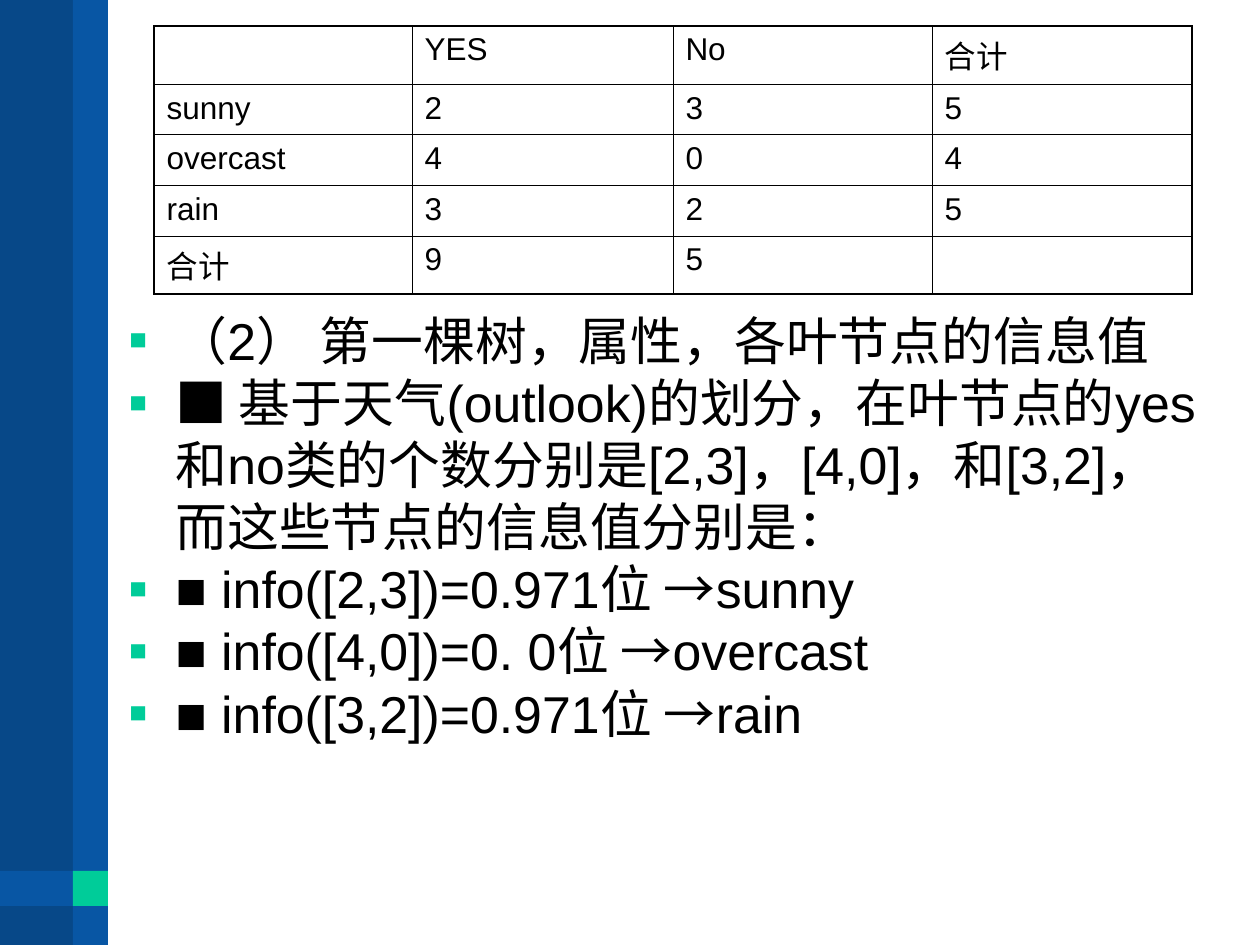
from lxml import etree
from pptx import Presentation
from pptx import util as u
from pptx.dml.color import RGBColor
from pptx.enum import shapes, text
from pptx.oxml import ns

SCALE = 914400 / 126


def px(length):
    return u.Emu(round(length * SCALE))


def colour(value):
    return RGBColor.from_string(value)


def add_element(parent, tag, **attributes):
    return etree.SubElement(parent, ns.qn(tag), attributes)


class SlideBuilder:
    font = "Arial"
    ink = "000000"
    accent = "00CC99"
    thin = 0.45
    thick = 1.08

    def __init__(self, slide):
        self.slide = slide

    def bar(self, left, top, width, height, fill):
        shape = self.slide.shapes.add_shape(
            shapes.MSO_SHAPE.RECTANGLE, px(left), px(top), px(width), px(height))
        shape.shadow.inherit = False
        shape.fill.solid()
        shape.fill.fore_color.rgb = colour(fill)
        shape.line.fill.background()

    def run(self, paragraph, words, size):
        run = paragraph.add_run()
        run.text = words
        run.font.name = self.font
        run.font.size = u.Pt(size)
        run.font.color.rgb = colour(self.ink)

    def bullet(self, paragraph):
        properties = paragraph._p.get_or_add_pPr()
        properties.set("marL", str(px(47)))
        properties.set("indent", str(px(-47)))
        bullet_colour = add_element(properties, "a:buClr")
        add_element(bullet_colour, "a:srgbClr", val=self.accent)
        add_element(properties, "a:buSzPct", val="110000")
        add_element(properties, "a:buFont", typeface=self.font)
        add_element(properties, "a:buChar", char="▪")

    def body(self, left, top, width, height, lines, size):
        shape = self.slide.placeholders[1]
        shape.left, shape.top = px(left), px(top)
        shape.width, shape.height = px(width), px(height)
        frame = shape.text_frame
        frame.word_wrap = True
        frame.auto_size = text.MSO_AUTO_SIZE.NONE
        frame.vertical_anchor = text.MSO_ANCHOR.TOP
        for index, line in enumerate(lines):
            paragraph = frame.add_paragraph() if index else frame.paragraphs[0]
            self.bullet(paragraph)
            paragraph.space_before = u.Pt(0)
            self.run(paragraph, line, size)

    def borders(self, cell, outer_sides):
        properties = cell._tc.get_or_add_tcPr()
        for side, outer in outer_sides.items():
            width = u.Pt(self.thick if outer else self.thin)
            line = add_element(properties, f"a:ln{side}", w=str(width))
            fill = add_element(line, "a:solidFill")
            add_element(fill, "a:srgbClr", val=self.ink)

    def table(self, left, top, widths, height, rows, size):
        table = self.slide.shapes.add_table(
            len(rows), len(widths), px(left), px(top), px(sum(widths)), px(height)).table
        table.first_row = False
        table.horz_banding = False
        for column, width in zip(table.columns, widths):
            column.width = px(width)
        last_row, last_column = len(rows) - 1, len(widths) - 1
        for r, row in enumerate(rows):
            for c, words in enumerate(row):
                cell = table.cell(r, c)
                self.borders(cell, {"L": c == 0, "R": c == last_column,
                                    "T": r == 0, "B": r == last_row})
                cell.fill.background()
                if words:
                    self.run(cell.text_frame.paragraphs[0], words, size)


def main():
    presentation = Presentation()
    presentation.slide_width = px(1260)
    presentation.slide_height = px(945)
    slide = presentation.slides.add_slide(presentation.slide_layouts[1])
    title = slide.shapes.title._element
    title.getparent().remove(title)

    builder = SlideBuilder(slide)
    builder.bar(0, 0, 105, 945, "074888")
    builder.bar(73, 0, 35, 945, "0856A4")
    builder.bar(0, 871, 105, 35, "0856A4")
    builder.bar(73, 871, 35, 35, builder.accent)

    builder.body(116, 302, 1103, 528, [
        "（2） 第一棵树，属性，各叶节点的信息值",
        "■ 基于天气(outlook)的划分，在叶节点的yes和no类的个数分别是"
        "[2,3]，[4,0]，和[3,2]，而这些节点的信息值分别是：",
        "■ info([2,3])=0.971位 →sunny",
        "■ info([4,0])=0. 0位 →overcast",
        "■ info([3,2])=0.971位 →rain",
    ], 29.6)

    builder.table(154, 26, [258, 261, 259, 260], 253, [
        ["", "YES", "No", "合计"],
        ["sunny", "2", "3", "5"],
        ["overcast", "4", "0", "4"],
        ["rain", "3", "2", "5"],
        ["合计", "9", "5", ""],
    ], 18)

    presentation.save("out.pptx")


if __name__ == "__main__":
    main()
